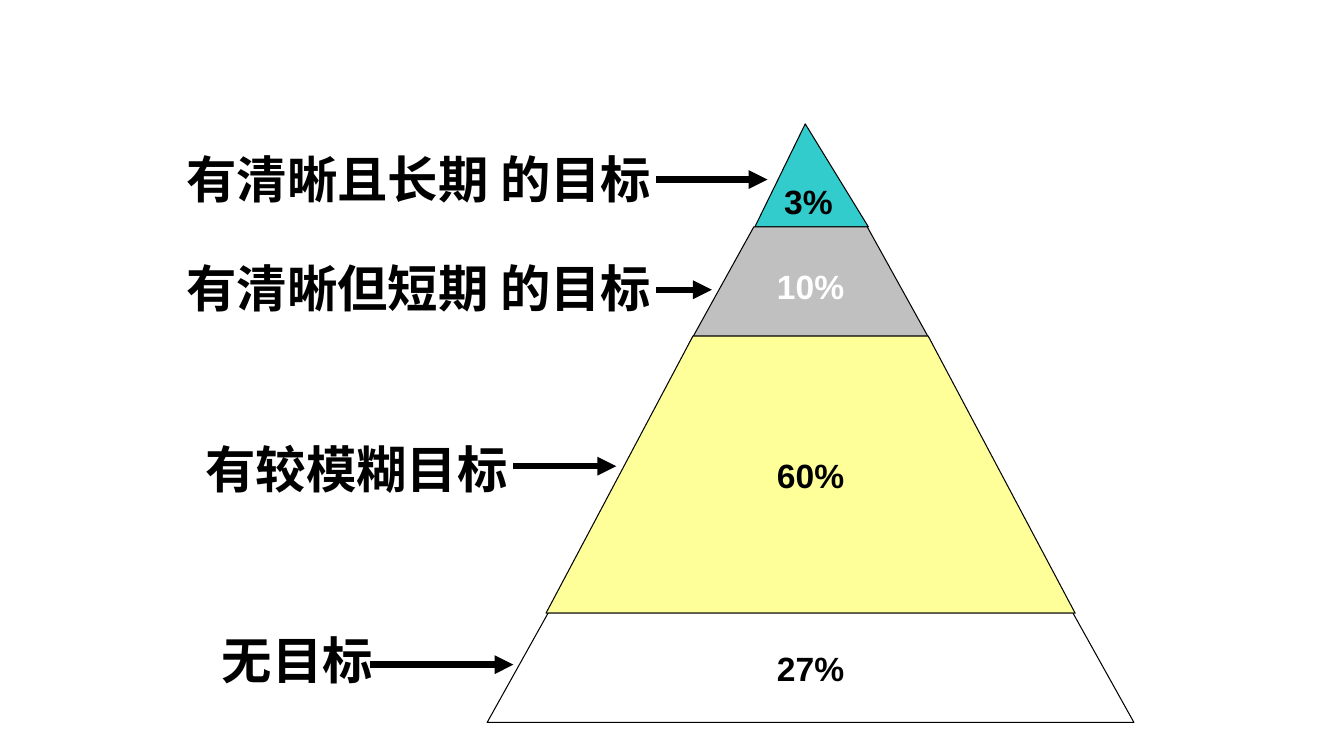
from lxml.etree import SubElement
from pptx import Presentation
from pptx.dml.color import RGBColor
from pptx.enum.shapes import MSO_CONNECTOR, MSO_SHAPE
from pptx.enum.text import MSO_ANCHOR, PP_ALIGN
from pptx.oxml.ns import qn
from pptx.util import Pt

PX = 9525
SLIDE_SIZE = (1280, 720)
PYRAMID_BOX = (464, 118, 616, 570)
LABELS_BOX = (168, 136, 563, 526)

PEAK = {"text": "3%", "width": 108, "height": 98, "tip": 0.444, "fill": "33CCCC", "color": "000000"}
TIERS = [
    {"text": "10%", "top": 98, "bottom": 210, "widths": (108, 232), "fill": "C0C0C0", "color": "FFFFFF"},
    {"text": "60%", "top": 202, "bottom": 466, "widths": (224, 504), "fill": "FFFF99", "color": "000000"},
    {"text": "27%", "top": 466, "bottom": 570, "widths": (500, 616), "fill": "FFFFFF", "color": "000000"},
]
LABELS = [
    {"runs": ("有清晰且长期", " 的目标"), "box": (0, 0, 480, 67), "arrow": (457, 563, 35)},
    {"runs": ("有清晰但短期", " 的目标"), "box": (0, 104, 480, 67), "arrow": (457, 510, 140)},
    {"runs": ("有较模糊", "目标"), "box": (18, 277, 320, 67), "arrow": (321, 419, 308)},
    {"runs": ("无", "目标"), "box": (34, 458, 184, 67), "arrow": (184, 321, 497)},
]
LABEL_FONTS = ("Times New Roman", "Arial")


def px(*lengths):
    return [round(length * PX) for length in lengths]


def rgb(color):
    return RGBColor.from_string(color)


def apply(target, formats):
    for name, value in formats.items():
        setattr(target, name, value)


def add_run(paragraph, text, font_name, size, color):
    run = paragraph.add_run()
    run.text = text
    apply(run.font, {"name": font_name, "size": Pt(size), "bold": True})
    run.font.color.rgb = rgb(color)


def style_tier(shape, tier):
    shape.shadow.inherit = False
    shape.fill.solid()
    shape.fill.fore_color.rgb = rgb(tier["fill"])
    shape.line.color.rgb = rgb("000000")
    shape.line.width = Pt(0.75)
    apply(shape.text_frame, {"word_wrap": False, "vertical_anchor": MSO_ANCHOR.MIDDLE})
    paragraph = shape.text_frame.paragraphs[0]
    paragraph.alignment = PP_ALIGN.CENTER
    add_run(paragraph, tier["text"], "Arial", 24, tier["color"])


def add_pyramid(slide, box):
    left, top, width, height = box
    center = left + width // 2
    peak_box = px(center + 1 - PEAK["width"] // 2, top, PEAK["width"], PEAK["height"])
    peak = slide.shapes.add_shape(MSO_SHAPE.ISOSCELES_TRIANGLE, *peak_box)
    peak.adjustments[0] = PEAK["tip"]
    style_tier(peak, PEAK)
    for tier in TIERS:
        upper, lower = (side // 2 for side in tier["widths"])
        tier_top, tier_bottom = top + tier["top"], top + tier["bottom"]
        builder = slide.shapes.build_freeform(center - lower, tier_bottom, scale=PX)
        builder.add_line_segments([
            (center - upper, tier_top),
            (center + upper, tier_top),
            (center + lower, tier_bottom),
        ], close=True)
        style_tier(builder.convert_to_shape(), tier)


def add_arrow(slide, start, end, y):
    arrow = slide.shapes.add_connector(MSO_CONNECTOR.STRAIGHT, *px(start, y, end, y))
    arrow.line.color.rgb = rgb("000000")
    arrow.line.width = Pt(4.5)
    SubElement(arrow.line._get_or_add_ln(), qn("a:tailEnd"), type="triangle")
    SubElement(arrow._element.spPr, qn("a:effectLst"))


def add_labels(slide, box):
    left, top, _, _ = box
    for label in LABELS:
        x, y, width, height = label["box"]
        text_box = slide.shapes.add_textbox(*px(left + x, top + y, width, height))
        text_box.text_frame.word_wrap = True
        paragraph = text_box.text_frame.paragraphs[0]
        for text, font_name in zip(label["runs"], LABEL_FONTS):
            add_run(paragraph, text, font_name, 36, "000000")
    for label in LABELS:
        start, end, y = label["arrow"]
        add_arrow(slide, left + start, left + end, top + y)


def main():
    presentation = Presentation()
    presentation.slide_width, presentation.slide_height = px(*SLIDE_SIZE)
    slide = presentation.slides.add_slide(presentation.slide_layouts[6])
    add_pyramid(slide, PYRAMID_BOX)
    add_labels(slide, LABELS_BOX)
    presentation.save("out.pptx")


if __name__ == "__main__":
    main()
